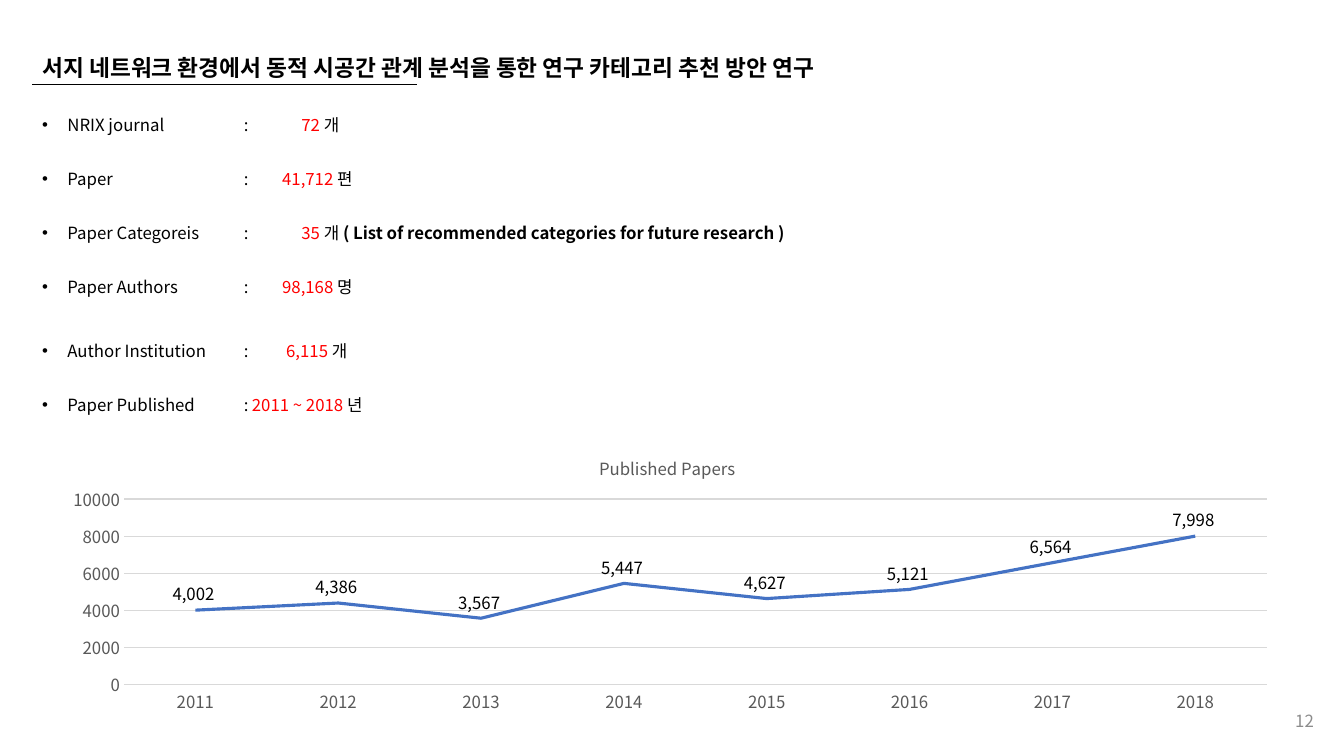
from dataclasses import dataclass

from lxml import etree
from pptx import Presentation
from pptx.chart.data import CategoryChartData
from pptx.dml.color import RGBColor
from pptx.enum.chart import XL_CHART_TYPE, XL_LABEL_POSITION, XL_TICK_MARK
from pptx.enum.shapes import MSO_CONNECTOR
from pptx.enum.text import MSO_ANCHOR, MSO_AUTO_SIZE, PP_ALIGN
from pptx.oxml import parse_xml
from pptx.oxml.ns import nsdecls, qn
from pptx.util import Inches, Pt

LINE_CHART = XL_CHART_TYPE.LINE
ABOVE = XL_LABEL_POSITION.ABOVE
NO_TICK = XL_TICK_MARK.NONE
STRAIGHT = MSO_CONNECTOR.STRAIGHT
MIDDLE, TOP = MSO_ANCHOR.MIDDLE, MSO_ANCHOR.TOP
LEFT, RIGHT = PP_ALIGN.LEFT, PP_ALIGN.RIGHT

FONT = "Noto Sans CJK KR"
TITLE_ONLY = 5
COLORS = {"ink": "000000", "figure": "FF0000", "axis": "595959",
          "grid": "D9D9D9", "series": "4472C4", "page": "8C8C8C"}
COLON_TAB = 2.0
LINE_HEIGHT = 14
ROW_GAP = 24.6
GROUP_GAP = 31.9


@dataclass
class Fact:
    """One line of the data summary; value_tab is in inches."""
    label: str
    value: str
    unit: str
    value_tab: float
    remark: str = ""
    gap: float = ROW_GAP


FACTS = [
    Fact("NRIX journal", "72", "개", 2.57, gap=0),
    Fact("Paper", "41,712", "편", 2.38),
    Fact("Paper Categoreis", "35", "개", 2.57,
         "( List of recommended categories for future research )"),
    Fact("Paper Authors", "98,168", "명", 2.38),
    Fact("Author Institution", "6,115", "개", 2.42, gap=GROUP_GAP),
    Fact("Paper Published", "2011 ~ 2018", "년", 2.08),
]
PAPERS_BY_YEAR = {"2011": 4002, "2012": 4386, "2013": 3567, "2014": 5447,
                  "2015": 4627, "2016": 5121, "2017": 6564, "2018": 7998}


def rgb(name):
    """Return a named colour."""
    return RGBColor.from_string(COLORS[name])


def format_font(font, size=12, color="ink", bold=False):
    """Apply typeface, size, colour and weight."""
    font.name, font.size, font.bold = FONT, Pt(size), bold
    font.color.rgb = rgb(color)


def add_text(paragraph, text, **style):
    """Append a formatted run, with the same face for Korean letters."""
    run = paragraph.add_run()
    run.text = text
    format_font(run.font, **style)
    east_asian = etree.SubElement(run.font._element, qn("a:ea"))
    east_asian.set("typeface", FONT)


def prepare_frame(shape, anchor, align=LEFT):
    """Set wrapping and alignment, and return the first paragraph."""
    frame = shape.text_frame
    frame.word_wrap = True
    frame.auto_size = MSO_AUTO_SIZE.NONE
    frame.vertical_anchor = anchor
    frame.paragraphs[0].alignment = align
    return frame.paragraphs[0]


def set_bullet_and_tabs(paragraph, *tabs: float):
    """Give a paragraph a hanging bullet and left tab stops in inches."""
    properties = paragraph._p.get_or_add_pPr()
    properties.set("marL", str(Inches(0.25)))
    properties.set("indent", str(Inches(-0.25)))
    etree.SubElement(properties, qn("a:buFont")).set("typeface", "Arial")
    etree.SubElement(properties, qn("a:buChar")).set("char", "•")
    stops = etree.SubElement(properties, qn("a:tabLst"))
    for position in tabs:
        stop = etree.SubElement(stops, qn("a:tab"))
        stop.set("pos", str(Inches(position)))
        stop.set("algn", "l")


def add_fact(paragraph, fact: Fact):
    """Write one summary line."""
    paragraph.line_spacing = Pt(LINE_HEIGHT)
    paragraph.space_before = Pt(fact.gap)
    set_bullet_and_tabs(paragraph, COLON_TAB, fact.value_tab)
    add_text(paragraph, f"{fact.label}\t:\t")
    add_text(paragraph, f"{fact.value} ", color="figure")
    add_text(paragraph, fact.unit)
    if fact.remark:
        add_text(paragraph, f" {fact.remark}", bold=True)


def add_rule(slide, x1, x2, y):
    """Draw the thin line below the title."""
    rule = slide.shapes.add_connector(
        STRAIGHT, Inches(x1), Inches(y), Inches(x2), Inches(y))
    rule.line.color.rgb = rgb("ink")
    rule.line.width = Pt(0.5)
    etree.SubElement(rule._element.spPr, qn("a:effectLst"))


def layout_xml(**fractions):
    """Return a manual chart layout from fractions of the chart size."""
    target = '<c:layoutTarget val="inner"/>' if "w" in fractions else ""
    modes = "".join(f'<c:{key}Mode val="edge"/>' for key in "xy")
    sizes = "".join(f'<c:{key} val="{value}"/>'
                    for key, value in fractions.items())
    return parse_xml(f'<c:layout {nsdecls("c")}><c:manualLayout>{target}'
                     f'{modes}{sizes}</c:manualLayout></c:layout>')


def place_part(part, layout):
    """Replace the layout of a chart title or plot area."""
    for old in part.findall(qn("c:layout")):
        part.remove(old)
    text = part.find(qn("c:tx"))
    part.insert(0 if text is None else 1, layout)


def style_axis(axis):
    """Format what both axes share."""
    axis.major_tick_mark = axis.minor_tick_mark = NO_TICK
    format_font(axis.tick_labels.font, color="axis")


def style_line(line, color, width):
    """Set colour and width of a chart line."""
    line.color.rgb = rgb(color)
    line.width = Pt(width)


def add_papers_chart(slide):
    """Draw the number of papers published per year."""
    data = CategoryChartData()
    data.categories = list(PAPERS_BY_YEAR)
    data.add_series("Series 1", list(PAPERS_BY_YEAR.values()))
    chart = slide.shapes.add_chart(
        LINE_CHART, Inches(0.49), Inches(4.3), Inches(12.32), Inches(2.83),
        data).chart
    format_font(chart.font, size=10)
    chart.has_legend = False
    chart.has_title = True
    add_text(chart.chart_title.text_frame.paragraphs[0], "Published Papers",
             color="axis")
    place_part(chart.chart_title._element, layout_xml(x=0.44, y=0.06))
    plot_area = chart._chartSpace.chart.plotArea
    place_part(plot_area, layout_xml(x=0.06, y=0.23, w=0.92, h=0.65))

    years, counts = chart.category_axis, chart.value_axis
    for axis in (years, counts):
        style_axis(axis)
    style_line(years.format.line, "grid", 0.75)
    counts.minimum_scale, counts.maximum_scale = 0, 10000
    counts.major_unit = 2000
    counts.format.line.fill.background()
    style_line(counts.major_gridlines.format.line, "grid", 0.75)

    plot = chart.plots[0]
    plot.vary_by_categories = False
    papers = plot.series[0]
    papers.smooth = False
    style_line(papers.format.line, "series", 2.25)
    labels = papers.data_labels
    labels.show_value = True
    labels.position = ABOVE
    labels.number_format = r"#,##0_);[Red]\(#,##0\)"
    labels.number_format_is_linked = False
    format_font(labels.font)


def main():
    """Build the slide and save it."""
    deck = Presentation()
    deck.slide_width, deck.slide_height = Inches(13.33), Inches(7.5)
    slide = deck.slides.add_slide(deck.slide_layouts[TITLE_ONLY])
    add_rule(slide, 0.32, 4.14, 0.84)

    title = slide.shapes.title
    title.left, title.top = Inches(0.32), Inches(0.49)
    title.width, title.height = Inches(8.56), Inches(0.36)
    add_text(prepare_frame(title, MIDDLE),
             "서지 네트워크 환경에서 동적 시공간 관계 분석을 통한 연구 카테고리 추천 방안 연구",
             size=16.2, bold=True)

    page = slide.shapes.add_textbox(
        Inches(10.13), Inches(6.95), Inches(3), Inches(0.4))
    add_text(prepare_frame(page, MIDDLE, RIGHT), "12", color="page")

    summary = slide.shapes.add_textbox(
        Inches(0.32), Inches(1.09), Inches(12.81), Inches(5.86))
    paragraph = prepare_frame(summary, TOP)
    for index, fact in enumerate(FACTS):
        if index:
            paragraph = summary.text_frame.add_paragraph()
        add_fact(paragraph, fact)

    add_papers_chart(slide)
    deck.save("out.pptx")


main()
